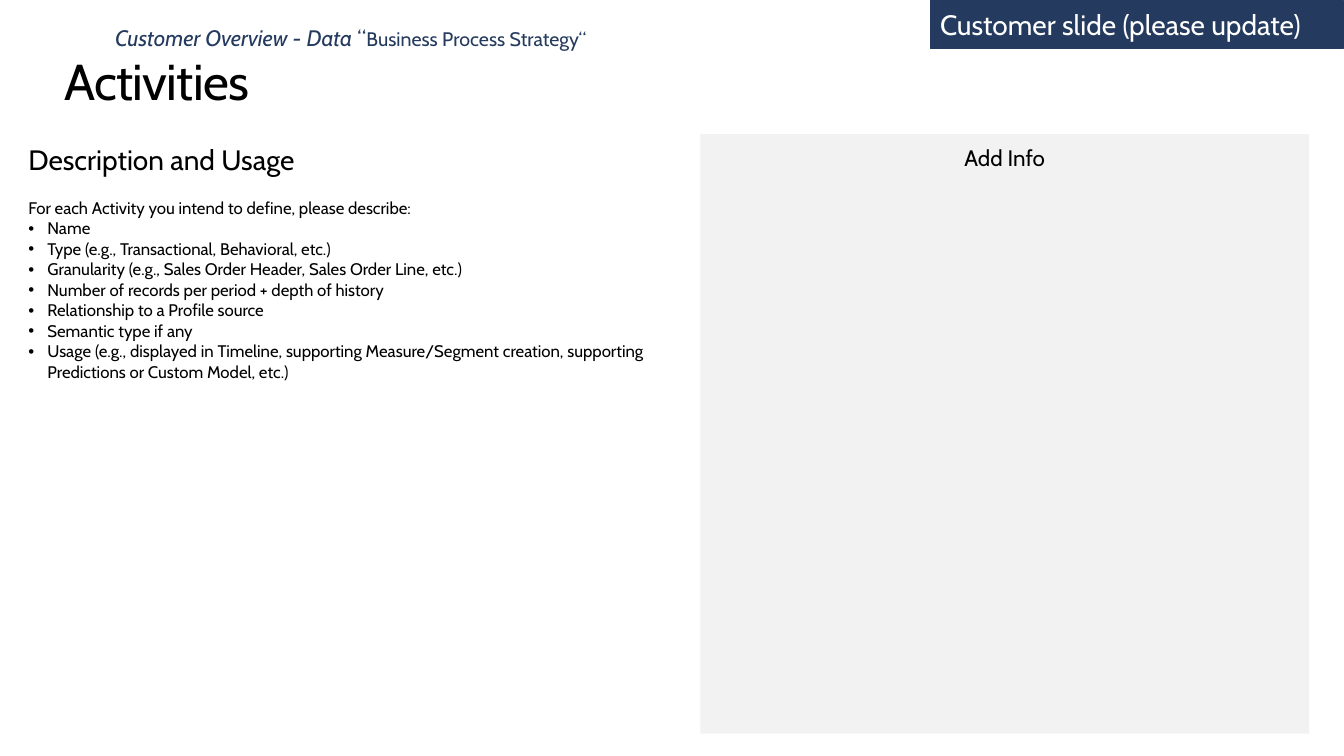
import pptx
import pptx.dml.color
import pptx.enum.shapes
import pptx.enum.text
import pptx.oxml.ns
import pptx.util
import lxml.etree

Cm = pptx.util.Cm
Pt = pptx.util.Pt
ALIGN = pptx.enum.text.PP_ALIGN
ANCHOR = pptx.enum.text.MSO_ANCHOR
NAVY, BLACK, WHITE, GREY = "243A5E", "000000", "FFFFFF", "F2F2F2"


def color(hex_string):
    return pptx.dml.color.RGBColor.from_string(hex_string)


def add_span(para, text, size, hex_string, italic=False):
    span = para.add_run()
    span.text = text
    span.font.name = "Cabin"
    span.font.size = Pt(size)
    span.font.color.rgb = color(hex_string)
    span.font.italic = italic
    return span


deck = pptx.Presentation()
deck.slide_width, deck.slide_height = Cm(33.87), Cm(19.05)
page = deck.slides.add_slide(deck.slide_layouts[5])
shapes = page.shapes

# Title
title = shapes.title
title.left, title.top, title.width, title.height = Cm(1.63), Cm(1.27), Cm(30.61), Cm(1.55)
frame = title.text_frame
frame.margin_left = frame.margin_right = frame.margin_top = frame.margin_bottom = 0
frame.vertical_anchor = ANCHOR.TOP
frame.auto_size = pptx.enum.text.MSO_AUTO_SIZE.NONE
para = frame.paragraphs[0]
para.alignment = ALIGN.LEFT
span = add_span(para, "Activities", 36, BLACK)
span.font._element.set("spc", "-50")

# Line above the title
strategy = shapes.add_textbox(Cm(2.9), Cm(0.61), Cm(12.32), Cm(0.69))
frame = strategy.text_frame
frame.margin_left = frame.margin_right = frame.margin_top = frame.margin_bottom = 0
frame.word_wrap = False
para = frame.paragraphs[0]
add_span(para, "Customer Overview - Data", 16, NAVY, italic=True)
add_span(para, " “", 16, NAVY)
add_span(para, "Business Process Strategy“", 14, NAVY)

# Corner label and information panel
panels = [
    ("Customer slide (please update)", (23.44, 0, 10.41, 1.22), NAVY, 20, WHITE, ALIGN.LEFT, ANCHOR.MIDDLE),
    ("Add Info", (17.65, 3.38, 15.34, 15.11), GREY, 16, BLACK, ALIGN.CENTER, ANCHOR.TOP),
]
for text, place, fill, size, text_color, alignment, anchor in panels:
    box = shapes.add_shape(pptx.enum.shapes.MSO_SHAPE.RECTANGLE, *map(Cm, place))
    box.shadow.inherit = False
    box.fill.solid()
    box.fill.fore_color.rgb = color(fill)
    if fill == NAVY:
        box.line.color.rgb = color(NAVY)
        box.line.width = Pt(0.25)
    else:
        box.line.fill.background()
        box.text_frame.margin_top = Cm(0.25)
    box.text_frame.vertical_anchor = anchor
    para = box.text_frame.paragraphs[0]
    para.alignment = alignment
    add_span(para, text, size, text_color)

# Description table
table = shapes.add_table(1, 1, Cm(0.46), Cm(3.48), Cm(16.43), Cm(14.96)).table
table.first_row = table.horz_banding = False
cell = table.cell(0, 0)
cell.fill.background()
frame = cell.text_frame
add_span(frame.paragraphs[0], "Description and Usage", 20, BLACK)
para = frame.add_paragraph()
para.space_before = Pt(14.6)
add_span(para, "For each Activity you intend to define, please describe:", 12, BLACK)

details = [
    "Name",
    "Type (e.g., Transactional, Behavioral, etc.)",
    "Granularity (e.g., Sales Order Header, Sales Order Line, etc.)",
    "Number of records per period + depth of history",
    "Relationship to a Profile source",
    "Semantic type if any",
    "Usage (e.g., displayed in Timeline, supporting Measure/Segment creation, "
    "supporting Predictions or Custom Model, etc.)",
]
for detail in details:
    para = frame.add_paragraph()
    properties = para._p.get_or_add_pPr()
    properties.set("marL", str(Cm(0.48)))
    properties.set("indent", str(-Cm(0.48)))
    bullet_font = lxml.etree.SubElement(properties, pptx.oxml.ns.qn("a:buFont"))
    bullet_font.set("typeface", "Arial")
    bullet = lxml.etree.SubElement(properties, pptx.oxml.ns.qn("a:buChar"))
    bullet.set("char", "•")
    add_span(para, detail, 12, BLACK)

deck.save("out.pptx")
